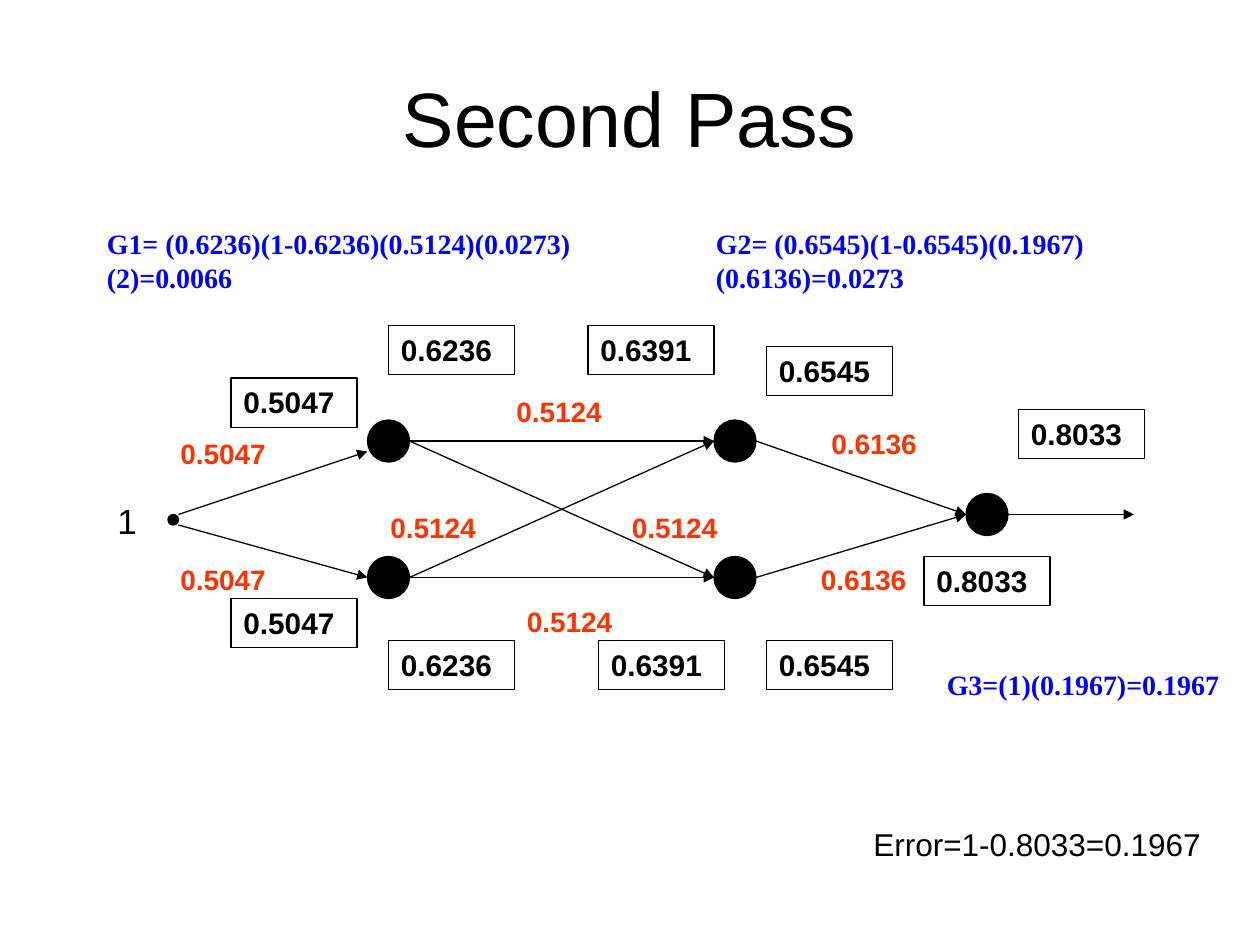
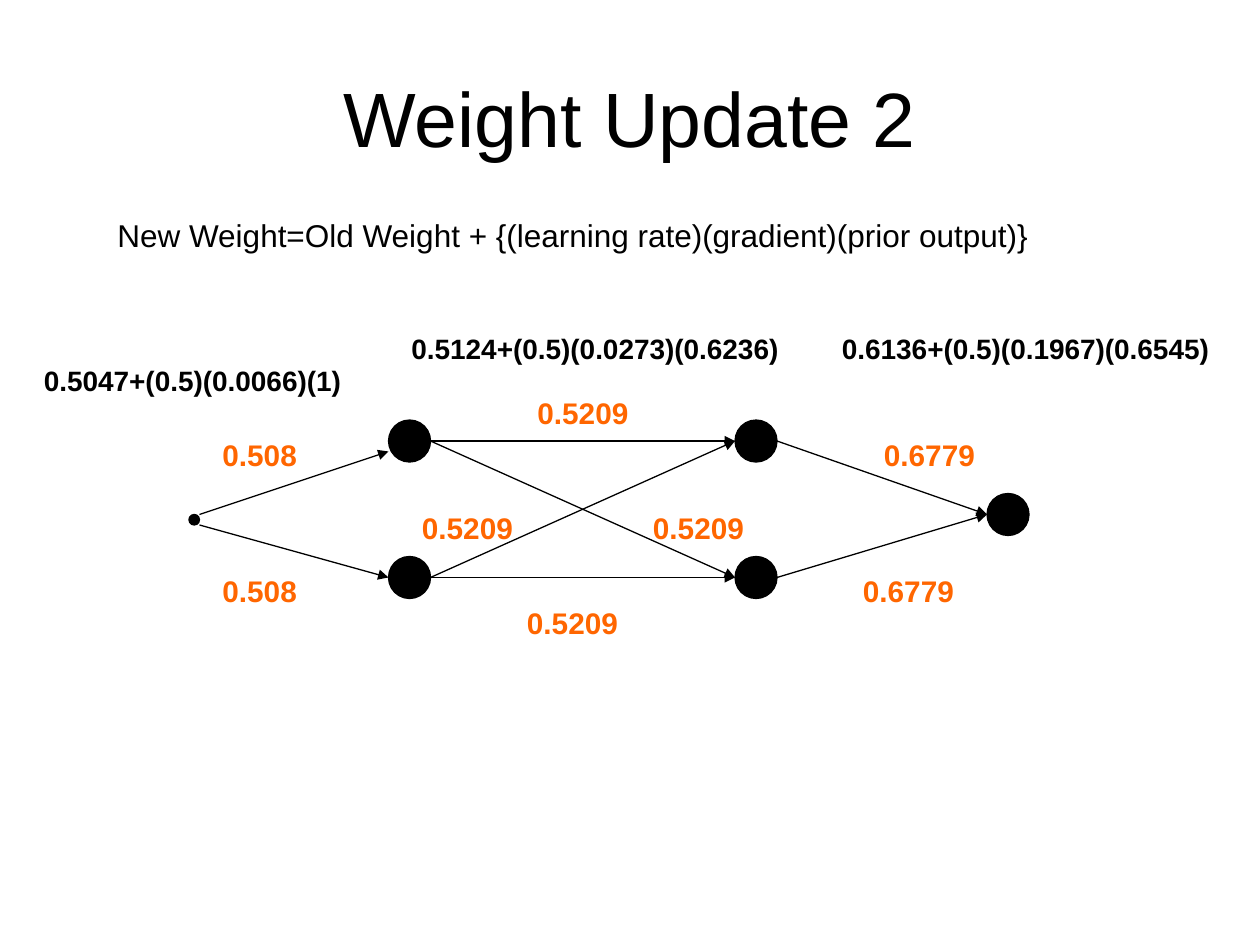
from itertools import product

from lxml.etree import SubElement
from pptx import Presentation
from pptx.dml.color import RGBColor
from pptx.enum.shapes import MSO_CONNECTOR, MSO_SHAPE
from pptx.enum.text import MSO_ANCHOR, PP_ALIGN
from pptx.oxml.ns import qn
from pptx.util import Emu, Pt

PX = 7620  # EMU per px, 120 px to the inch
BLACK, RED, ORANGE, BLUE = "000000", "FF3300", "FF6600", "0000FF"
SANS, SERIF = "Arial", "Times New Roman"


def px(*lengths):
    return [Emu(n * PX) for n in lengths]


def rgb(color):
    return RGBColor.from_string(color)


def write(tf, text, size=18, color=BLACK, bold=False, font=SANS,
          align=PP_ALIGN.LEFT, anchor=MSO_ANCHOR.TOP, wrap=True):
    tf.word_wrap = wrap
    tf.vertical_anchor = anchor
    tf.margin_left, tf.margin_right, tf.margin_top, tf.margin_bottom = px(12, 12, 6, 6)
    p = tf.paragraphs[0]
    p.alignment = align
    r = p.add_run()
    r.text = text
    r.font.name, r.font.size, r.font.bold = font, Pt(size), bold
    r.font.color.rgb = rgb(color)


class Deck:
    """Holds the style and the current slide."""

    def __init__(self):
        self.prs = Presentation()
        self.prs.slide_width, self.prs.slide_height = px(1200, 900)
        self.s = None

    def slide(self, title):
        self.s = self.prs.slides.add_slide(self.prs.slide_layouts[5])
        sp = self.s.shapes.title
        sp.left, sp.top, sp.width, sp.height = px(60, 36, 1080, 150)
        write(sp.text_frame, title, size=44, align=PP_ALIGN.CENTER,
              anchor=MSO_ANCHOR.MIDDLE)

    def text(self, x, y, w, text, size=18, h=None, **fmt):
        h = h or 2 * size + 13  # one line and its margins
        sp = self.s.shapes.add_textbox(*px(x, y, w, h))
        write(sp.text_frame, text, size=size, **fmt)

    def shape(self, kind, x, y, w, h, fill=None):
        sp = self.s.shapes.add_shape(kind, *px(x, y, w, h))
        sp.shadow.inherit = False
        if fill:
            sp.fill.solid()
            sp.fill.fore_color.rgb = rgb(fill)
        else:
            sp.fill.background()
        sp.line.color.rgb = rgb(BLACK)
        sp.line.width = Pt(0.75)
        return sp

    def value_box(self, x, y, value):
        sp = self.shape(MSO_SHAPE.RECTANGLE, x, y, 120, 47)
        write(sp.text_frame, value, size=17, bold=True)

    def node(self, x, y, size=40):
        self.shape(MSO_SHAPE.OVAL, x, y, size, size, fill=BLACK)

    def arrow(self, x1, y1, x2, y2):
        c = self.s.shapes.add_connector(MSO_CONNECTOR.STRAIGHT, *px(x1, y1, x2, y2))
        c.line.color.rgb = rgb(BLACK)
        c.line.width = Pt(0.75)
        SubElement(c.line._get_or_add_ln(), qn("a:tailEnd"), type="triangle")
        SubElement(c._element.spPr, qn("a:effectLst"))

    def network(self, x):
        """Input dot at x, two layers of two nodes, one output node."""
        hidden1, hidden2, output = x + 190, x + 520, x + 760
        rows = (420, 550)  # centre lines of the two node rows
        for left, y in product((hidden1, hidden2), rows):
            self.node(left, y - 20)
        self.node(output, 470)
        self.node(x, 490, size=10)
        self.arrow(x + 10, 490, hidden1, 430)
        self.arrow(x + 10, 500, hidden1, 550)
        for y1, y2 in product(rows, rows):
            self.arrow(hidden1 + 40, y1, hidden2, y2)
        for y in rows:
            self.arrow(hidden2 + 40, y, output, 490)

    def weights(self, labels, **fmt):
        for x, y, w, value in labels:
            self.text(x, y, w, value, bold=True, **fmt)


def second_pass(deck):
    deck.slide("Second Pass")
    deck.network(160)
    deck.arrow(960, 490, 1080, 490)
    deck.text(100, 470, 42, "1", size=20)

    # Connection weights
    deck.weights([
        (160, 410, 110, "0.5047"), (160, 530, 110, "0.5047"),
        (480, 370, 120, "0.5124"), (360, 480, 120, "0.5124"),
        (590, 480, 130, "0.5124"), (490, 570, 110, "0.5124"),
        (780, 400, 120, "0.6136"), (770, 530, 110, "0.6136"),
    ], size=16, color=RED)

    # Inputs and outputs of the nodes
    for x, y, value in [
        (220, 360, "0.5047"), (220, 570, "0.5047"),
        (370, 310, "0.6236"), (370, 610, "0.6236"),
        (560, 310, "0.6391"), (570, 610, "0.6391"),
        (730, 330, "0.6545"), (730, 610, "0.6545"),
        (880, 530, "0.8033"), (970, 390, "0.8033"),
    ]:
        deck.value_box(x, y, value)

    # Gradients and error
    for x, y, w, h, gradient in [
        (90, 210, 470, 125, "G1= (0.6236)(1-0.6236)(0.5124)(0.0273)(2)=0.0066"),
        (670, 210, 470, 125, "G2= (0.6545)(1-0.6545)(0.1967)(0.6136)=0.0273"),
        (890, 630, 290, 92, "G3=(1)(0.1967)=0.1967"),
    ]:
        deck.text(x, y, w, gradient, size=16, h=h, color=BLUE, bold=True, font=SERIF)
    deck.text(820, 780, 350, "Error=1-0.8033=0.1967")


def weight_update(deck):
    deck.slide("Weight Update 2")
    deck.network(180)

    # Update rule and its three uses
    deck.text(100, 200, 893, wrap=False,
              text="New Weight=Old Weight + {(learning rate)(gradient)(prior output)}")
    deck.weights([
        (30, 340, 350, "0.5047+(0.5)(0.0066)(1)"),
        (380, 310, 380, "0.5124+(0.5)(0.0273)(0.6236)"),
        (790, 310, 380, "0.6136+(0.5)(0.1967)(0.6545)"),
    ], size=16)

    # New connection weights
    deck.weights([
        (x, y, 140, value) for x, y, value in [
            (200, 410, "0.508"), (200, 540, "0.508"),
            (500, 370, "0.5209"), (390, 480, "0.5209"),
            (610, 480, "0.5209"), (490, 570, "0.5209"),
            (830, 410, "0.6779"), (810, 540, "0.6779"),
        ]
    ], size=17, color=ORANGE)


def main():
    deck = Deck()
    second_pass(deck)
    weight_update(deck)
    deck.prs.save("out.pptx")


if __name__ == "__main__":
    main()
